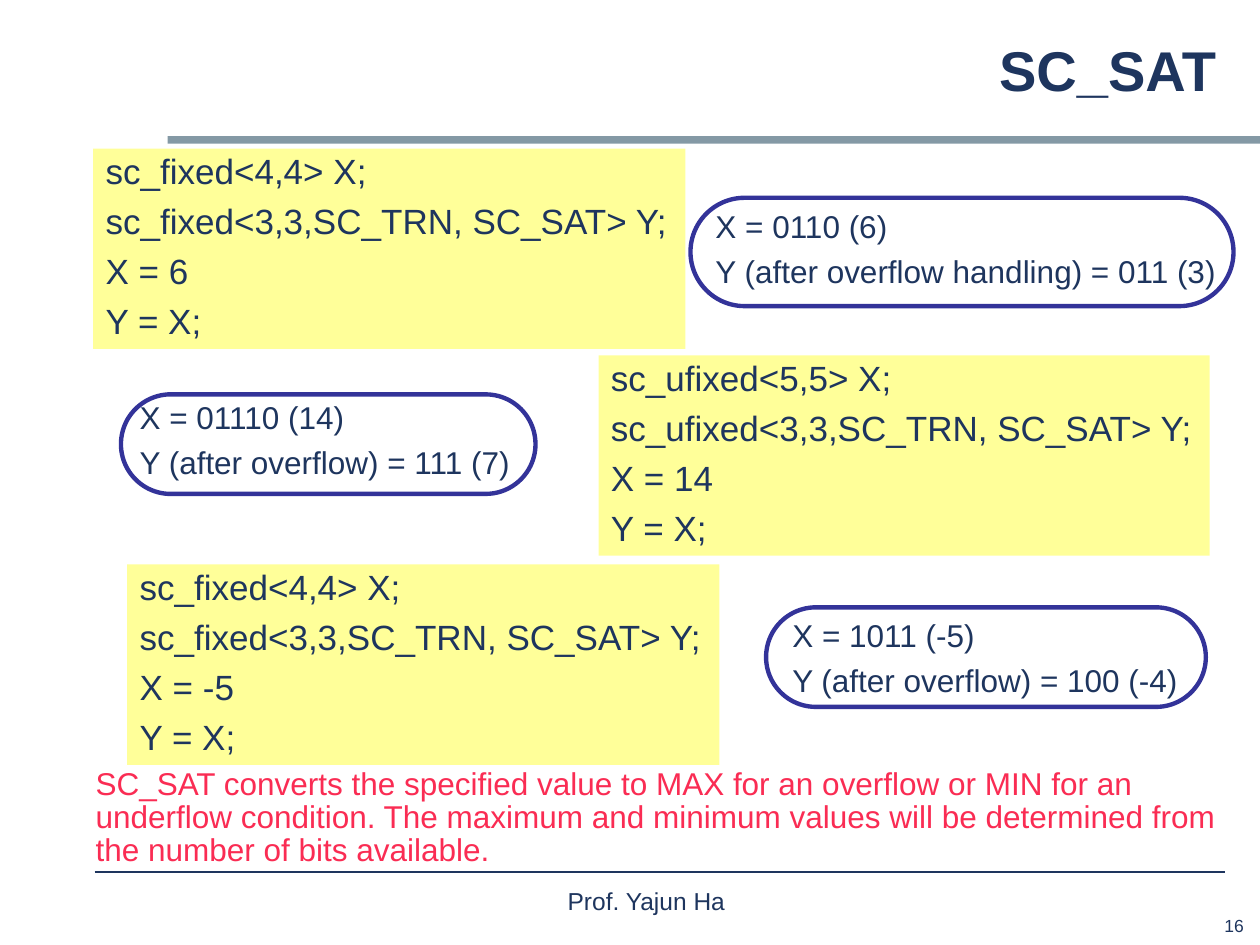
from dataclasses import dataclass
from typing import Optional

import pptx
import pptx.dml.color
import pptx.enum.shapes
import pptx.enum.text
import pptx.oxml
import pptx.oxml.ns
import pptx.util

COLUMNS, ROWS = 100, 75  # square cells on a 10 x 7.5 inch slide
WIDTH, HEIGHT = pptx.util.Inches(10), pptx.util.Inches(7.5)
SHAPES = pptx.enum.shapes.MSO_SHAPE
ALIGN = pptx.enum.text.PP_ALIGN
ANCHOR = pptx.enum.text.MSO_ANCHOR


@dataclass(frozen=True)
class Theme:
    font: str = "Arial"
    ink: str = "1E355E"
    code_fill: str = "FFFF99"
    outline: str = "333399"
    band: str = "8499A5"
    accent: str = "FA2C53"
    title_size: float = 32
    code_size: float = 20
    note_size: float = 18
    footer_size: float = 14
    number_size: float = 10
    line_spacing: float = 0.88
    space_share: float = 0.375  # space before a paragraph, per point of type


THEME = Theme()


@dataclass(frozen=True)
class Area:
    """Left, top, width and height in grid cells."""
    column: float
    row: float
    columns: float
    rows: float

    def emu(self) -> tuple[int, int, int, int]:
        return (round(self.column * WIDTH / COLUMNS), round(self.row * HEIGHT / ROWS),
                round(self.columns * WIDTH / COLUMNS), round(self.rows * HEIGHT / ROWS))


@dataclass(frozen=True)
class Style:
    size: float
    color: str = THEME.ink
    bold: bool = False
    align: ALIGN = ALIGN.LEFT
    anchor: ANCHOR = ANCHOR.TOP
    spacing: float = THEME.line_spacing
    wrap: bool = False


@dataclass(frozen=True)
class Example:
    code_area: Area
    kind: str
    bits: int
    value: int
    result_area: Area
    outline_area: Area
    results: tuple[str, str]

    def code(self) -> tuple[str, ...]:
        return (f"{self.kind}<{self.bits},{self.bits}> X;",
                f"{self.kind}<3,3,SC_TRN, SC_SAT> Y;",
                f"X = {self.value}", "Y = X;")


EXAMPLES = (
    Example(Area(7.4, 11.8, 47, 15.9), "sc_fixed", 4, 6,
            Area(55.8, 16.3, 41.9, 7.2), Area(54.8, 15.7, 43.1, 8.6),
            ("X = 0110 (6)", "Y (after overflow handling) = 011 (3)")),
    Example(Area(47.5, 28.2, 48.5, 15.9), "sc_ufixed", 5, 14,
            Area(10.1, 31.5, 31.8, 7.2), Area(9.6, 31.3, 32.9, 7.9),
            ("X = 01110 (14)", "Y (after overflow) = 111 (7)")),
    Example(Area(10.1, 44.8, 47, 15.9), "sc_fixed", 4, -5,
            Area(61.9, 48.8, 32.6, 7.2), Area(60.8, 48.2, 34.9, 7.9),
            ("X = 1011 (-5)", "Y (after overflow) = 100 (-4)")),
)


def rgb(color: str) -> pptx.dml.color.RGBColor:
    return pptx.dml.color.RGBColor.from_string(color)


def add_text(slide, area: Area, lines: tuple[str, ...], style: Style,
             fill: Optional[str] = None) -> None:
    box = slide.shapes.add_textbox(*area.emu())
    if fill:
        box.fill.solid()
        box.fill.fore_color.rgb = rgb(fill)
    frame = box.text_frame
    frame.word_wrap = style.wrap
    frame.vertical_anchor = style.anchor
    for index, line in enumerate(lines):
        para = frame.add_paragraph() if index else frame.paragraphs[0]
        para.alignment = style.align
        para.line_spacing = style.spacing
        if index:
            para.space_before = pptx.util.Pt(style.size * THEME.space_share)
        span = para.add_run()
        span.text = line
        span.font.name = THEME.font
        span.font.size = pptx.util.Pt(style.size)
        span.font.bold = style.bold
        span.font.color.rgb = rgb(style.color)


def add_outline(slide, area: Area) -> None:
    capsule = slide.shapes.add_shape(SHAPES.ROUNDED_RECTANGLE, *area.emu())
    capsule.adjustments[0] = 0.5
    capsule.shadow.inherit = False
    capsule.fill.background()
    capsule.line.color.rgb = rgb(THEME.outline)
    capsule.line.width = pptx.util.Pt(2.5)


def add_frame(slide) -> None:
    # Band under the title
    band = slide.shapes.add_shape(SHAPES.RECTANGLE, *Area(13.3, 10.8, 86.7, 0.6).emu())
    band.shadow.inherit = False
    band.fill.solid()
    band.fill.fore_color.rgb = rgb(THEME.band)
    band.line.fill.background()

    # Rule above the footer
    left, top, width, _ = Area(7.5, 69.2, 89.7, 0).emu()
    rule = slide.shapes.add_connector(
        pptx.enum.shapes.MSO_CONNECTOR.STRAIGHT, left, top, left + width, top)
    rule.line.color.rgb = rgb(THEME.ink)
    rule.line.width = pptx.util.Pt(0.75)
    properties = rule._element.spPr
    properties.append(pptx.oxml.parse_xml(
        f"<a:effectLst {pptx.oxml.ns.nsdecls('a')}/>"))


def main() -> None:
    deck = pptx.Presentation()
    deck.slide_width, deck.slide_height = WIDTH, HEIGHT
    slide = deck.slides.add_slide(deck.slide_layouts[6])

    # Frame, page number and title
    add_frame(slide)
    add_text(slide, Area(93.2, 72.1, 6.5, 2.6), ("16",),
             Style(THEME.number_size, align=ALIGN.RIGHT, spacing=1.0))
    add_text(slide, Area(13.3, 1.7, 84.2, 8.3), ("SC_SAT",),
             Style(THEME.title_size, bold=True, align=ALIGN.RIGHT,
                   anchor=ANCHOR.MIDDLE, wrap=True))

    # Code blocks, then their results
    for example in EXAMPLES:
        add_text(slide, example.code_area, example.code(),
                 Style(THEME.code_size), THEME.code_fill)
    for example in EXAMPLES:
        add_text(slide, example.result_area, example.results, Style(THEME.note_size))
        add_outline(slide, example.outline_area)

    # Summary and footer
    add_text(slide, Area(6.6, 60.5, 94.5, 9),
             ("SC_SAT converts the specified value to MAX for an overflow or MIN for an "
              "underflow condition. The maximum and minimum values will be determined "
              "from the number of bits available.",),
             Style(THEME.note_size, THEME.accent, wrap=True))
    add_text(slide, Area(34.2, 69.8, 34.2, 4.2), ("Prof. Yajun Ha",),
             Style(THEME.footer_size, align=ALIGN.CENTER, spacing=1.0))

    deck.save("out.pptx")


if __name__ == "__main__":
    main()
